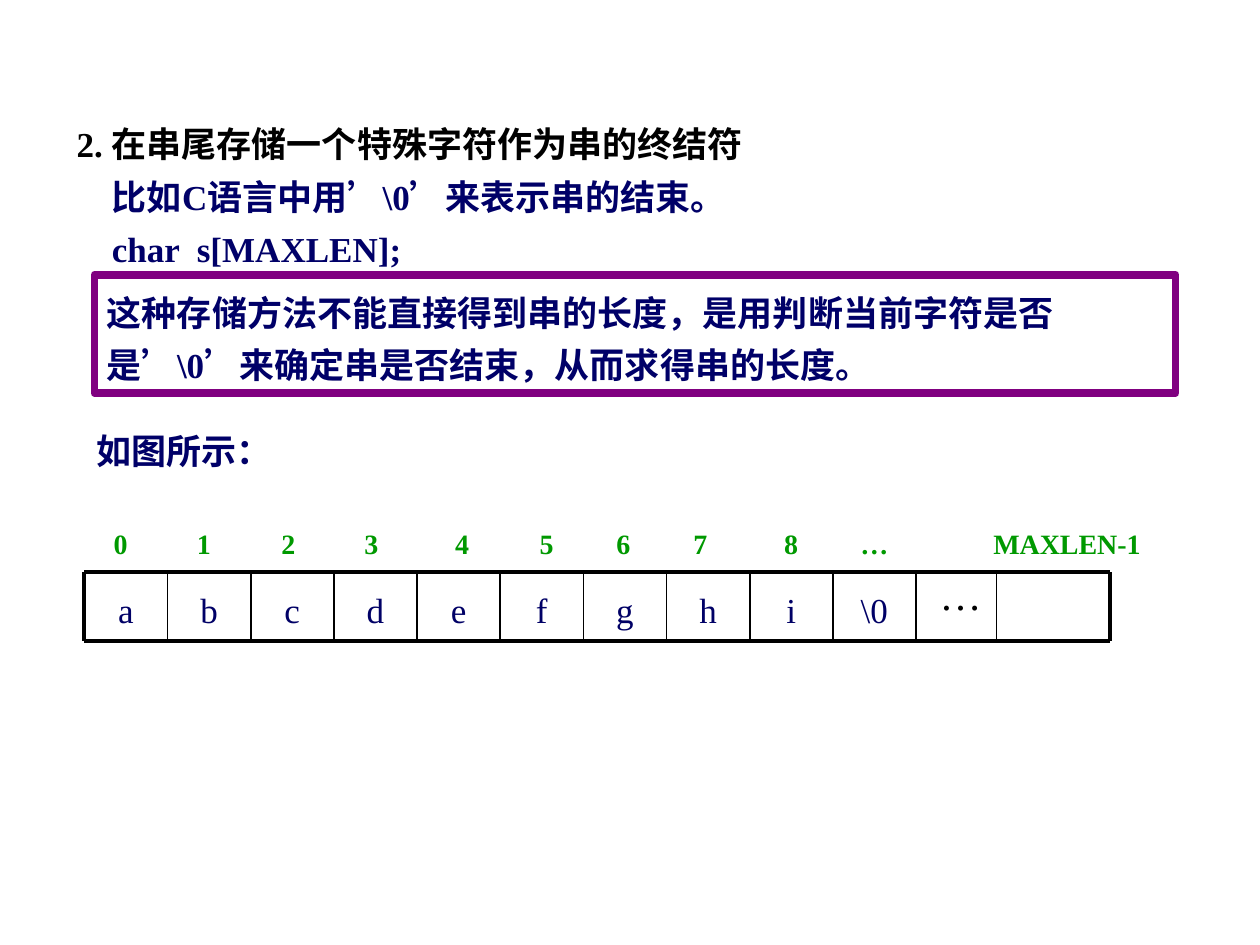
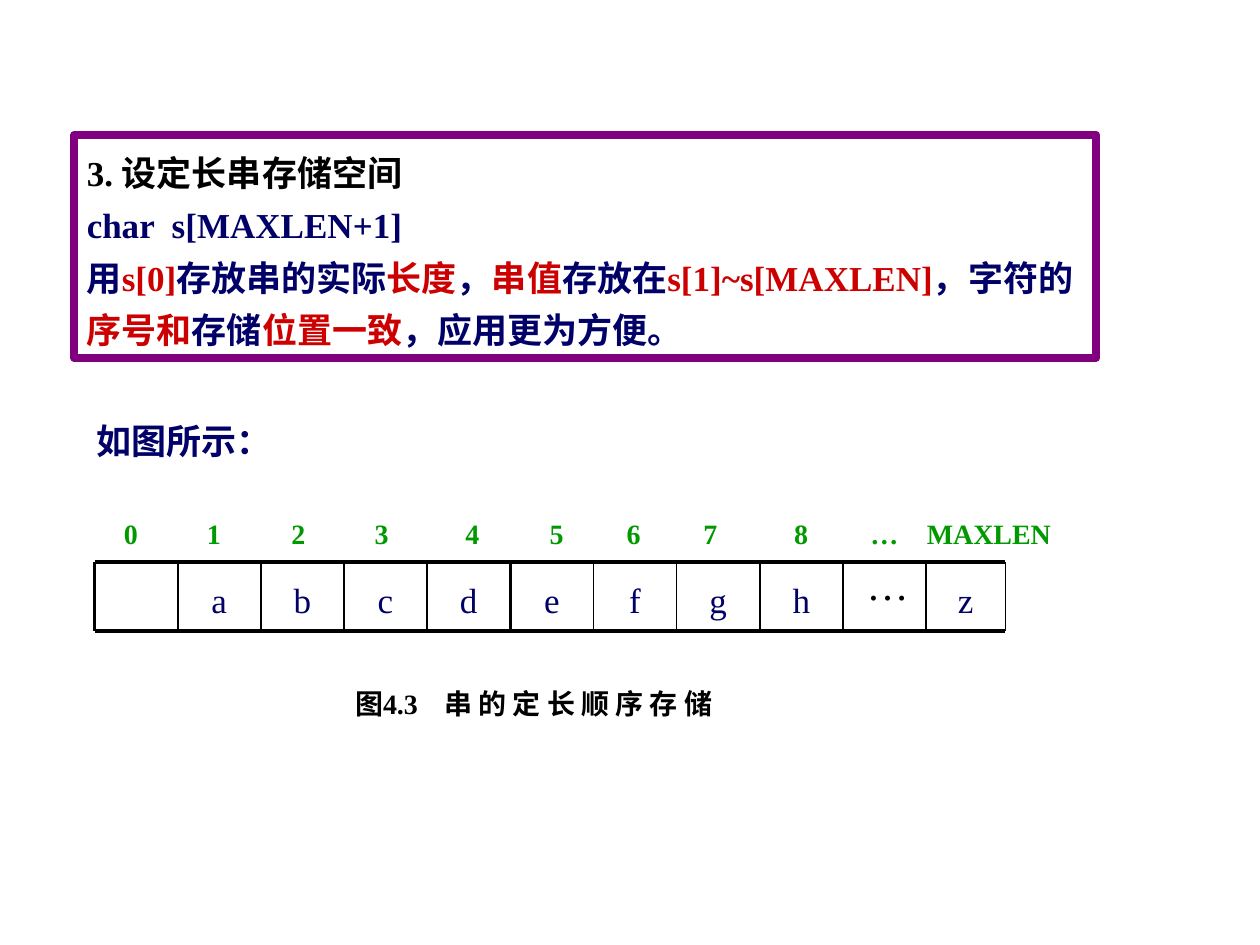
from lxml import etree
from pptx import Presentation
from pptx.dml.color import RGBColor
from pptx.enum.lang import MSO_LANGUAGE_ID
from pptx.enum.shapes import MSO_CONNECTOR, MSO_SHAPE
from pptx.enum.text import MSO_ANCHOR, PP_ALIGN
from pptx.oxml.ns import qn
from pptx.util import Inches, Pt

FONT = "Times New Roman"
BLACK = RGBColor(0x00, 0x00, 0x00)
NAVY = RGBColor(0x00, 0x00, 0x68)
CELL_BLUE = RGBColor(0x00, 0x00, 0x66)
RED = RGBColor(0xCC, 0x00, 0x00)
GREEN = RGBColor(0x00, 0x99, 0x00)
PURPLE = RGBColor(0x80, 0x00, 0x80)

CELL_WIDTH, CELL_HEIGHT = 0.66, 0.55
EQUAL_CELLS = 10
INDEXES = ["0", "1", "2", "3", "4", "5", "6", "7", "8", "…"]
INDEX_TABS = [0.19, 0.85, 1.52, 2.18, 2.9, 3.57, 4.18, 4.79, 5.51, 6.17]

# A paragraph is a list of (text, colour) runs.
TERMINATOR_HEADING = [[("2. 在串尾存储一个特殊字符作为串的终结符", BLACK)]]
TERMINATOR_DETAILS = [
    [("比如C语言中用’\\0’来表示串的结束。", NAVY)],
    [("char  s[MAXLEN];", NAVY)],
]
TERMINATOR_NOTE = [
    [("这种存储方法不能直接得到串的长度，是用判断当前字符是否是’\\0’来确定串是否结束，"
      "从而求得串的长度。", NAVY)],
]
FIXED_LENGTH_NOTE = [
    [("3. 设定长串存储空间", BLACK)],
    [("char  s[MAXLEN+1]", NAVY)],
    [("用", NAVY), ("s[0]", RED), ("存放串的实际", NAVY), ("长度", RED),
     ("，", NAVY), ("串值", RED), ("存放在", NAVY), ("s[1]~s[MAXLEN]", RED),
     ("，字符的", NAVY), ("序号和", RED), ("存储", NAVY), ("位置一致", RED),
     ("，应用更为方便。", NAVY)],
]
FIGURE_LEAD = [[("如图所示：", NAVY)]]
FIGURE_CAPTION = [[("图4.3\t串 的 定 长 顺 序 存 储", BLACK)]]

TERMINATED_ARRAY = {
    "left": 0.67, "top": 4.54,
    "cells": ["a", "b", "c", "d", "e", "f", "g", "h", "i", "\\0", "…", ""],
    "extra_widths": [0.64, 0.9], "extra_lines": [0.75, 2.25],
    "last_index": "MAXLEN-1", "last_tab": 7.7,
}
COUNTED_ARRAY = {
    "left": 0.75, "top": 4.46,
    "cells": ["", "a", "b", "c", "d", "e", "f", "g", "h", "…", "z"],
    "extra_widths": [0.63], "extra_lines": [0.75],
    "last_index": "MAXLEN", "last_tab": 7.0,
}


def set_tabs(paragraph, positions, alignment):
    tab_list = etree.SubElement(paragraph._p.get_or_add_pPr(), qn("a:tabLst"))
    for position in positions:
        etree.SubElement(tab_list, qn("a:tab"),
                         pos=str(Inches(position)), algn=alignment)


def write(shape, paragraphs, size=20, bold=True, spacing=1.0, indent=0,
          align=PP_ALIGN.LEFT, anchor=MSO_ANCHOR.TOP, tabs=(), tab_alignment="l"):
    frame = shape.text_frame
    frame.word_wrap = True
    frame.vertical_anchor = anchor
    for number, runs in enumerate(paragraphs):
        paragraph = frame.add_paragraph() if number else frame.paragraphs[0]
        if tabs:
            set_tabs(paragraph, tabs, tab_alignment)
        if indent:
            properties = paragraph._p.get_or_add_pPr()
            properties.set("marL", str(Inches(indent)))
            properties.set("indent", "0")
        paragraph.line_spacing = spacing
        paragraph.alignment = align
        for text, color in runs:
            run = paragraph.add_run()
            run.text = text
            font = run.font
            font.name, font.size, font.bold = FONT, Pt(size), bold
            font.color.rgb = color
            font.language_id = MSO_LANGUAGE_ID.SIMPLIFIED_CHINESE


def add_text(slide, left, top, width, height, paragraphs, **style):
    shape = slide.shapes.add_textbox(Inches(left), Inches(top),
                                     Inches(width), Inches(height))
    write(shape, paragraphs, **style)


def add_framed_note(slide, left, top, width, height, paragraphs):
    shape = slide.shapes.add_shape(MSO_SHAPE.RECTANGLE, Inches(left), Inches(top),
                                   Inches(width), Inches(height))
    shape.shadow.inherit = False
    shape.fill.background()
    shape.line.color.rgb = PURPLE
    shape.line.width = Pt(4.5)
    write(shape, paragraphs, spacing=1.25)


def add_line(slide, x1, y1, x2, y2, width):
    line = slide.shapes.add_connector(MSO_CONNECTOR.STRAIGHT, Inches(x1), Inches(y1),
                                      Inches(x2), Inches(y2))
    line.line.color.rgb = BLACK
    line.line.width = Pt(width)
    etree.SubElement(line._element.spPr, qn("a:effectLst"))


def add_array(slide, array):
    """Draw the row of memory cells with the index labels above it."""
    left, top = array["left"], array["top"]
    bottom = top + CELL_HEIGHT
    widths = [CELL_WIDTH] * EQUAL_CELLS + array["extra_widths"]
    edges = [left + sum(widths[:count]) for count in range(len(widths) + 1)]
    line_widths = [2.25] + [1.5 if number % 5 == 0 else 1
                            for number in range(1, EQUAL_CELLS + 1)]
    line_widths += array["extra_lines"]

    for text, x, width in zip(array["cells"], edges, widths):
        if text == "…":
            add_text(slide, x + 0.09, top + 0.1, 0.55, 0.3, [[(text, BLACK)]],
                     size=24, bold=False, spacing=0.5)
        elif text:
            add_text(slide, x, top + 0.02, width, CELL_HEIGHT, [[(text, CELL_BLUE)]],
                     bold=False, align=PP_ALIGN.CENTER, anchor=MSO_ANCHOR.MIDDLE)

    for x, line_width in zip(edges, line_widths):
        add_line(slide, x, top, x, bottom, line_width)
    for y in (top, bottom):
        add_line(slide, left, y, edges[-1], y, 2.25)

    labels = "".join("\t" + label for label in INDEXES + [array["last_index"]])
    add_text(slide, left, top - 0.41, 8.66, 0.37, [[(labels, GREEN)]], size=16,
             tabs=INDEX_TABS + [array["last_tab"]], tab_alignment="ctr")


def add_blank_slide(presentation):
    return presentation.slides.add_slide(presentation.slide_layouts[6])


def main():
    presentation = Presentation()
    presentation.slide_width, presentation.slide_height = Inches(10), Inches(7.5)

    slide = add_blank_slide(presentation)
    add_text(slide, 0.51, 0.84, 5.9, 0.5, TERMINATOR_HEADING, spacing=1.25)
    add_text(slide, 0.51, 1.26, 5.9, 0.93, TERMINATOR_DETAILS, spacing=1.25, indent=0.28)
    add_framed_note(slide, 0.75, 2.18, 8.58, 0.94, TERMINATOR_NOTE)
    add_text(slide, 0.67, 3.36, 1.8, 0.44, FIGURE_LEAD)
    add_array(slide, TERMINATED_ARRAY)

    slide = add_blank_slide(presentation)
    add_framed_note(slide, 0.59, 1.07, 8.11, 1.77, FIXED_LENGTH_NOTE)
    add_text(slide, 0.67, 3.28, 1.8, 0.44, FIGURE_LEAD)
    add_array(slide, COUNTED_ARRAY)
    add_text(slide, 2.72, 5.4, 3.23, 0.37, FIGURE_CAPTION, size=16, tabs=[0.71])

    presentation.save("out.pptx")


if __name__ == "__main__":
    main()
